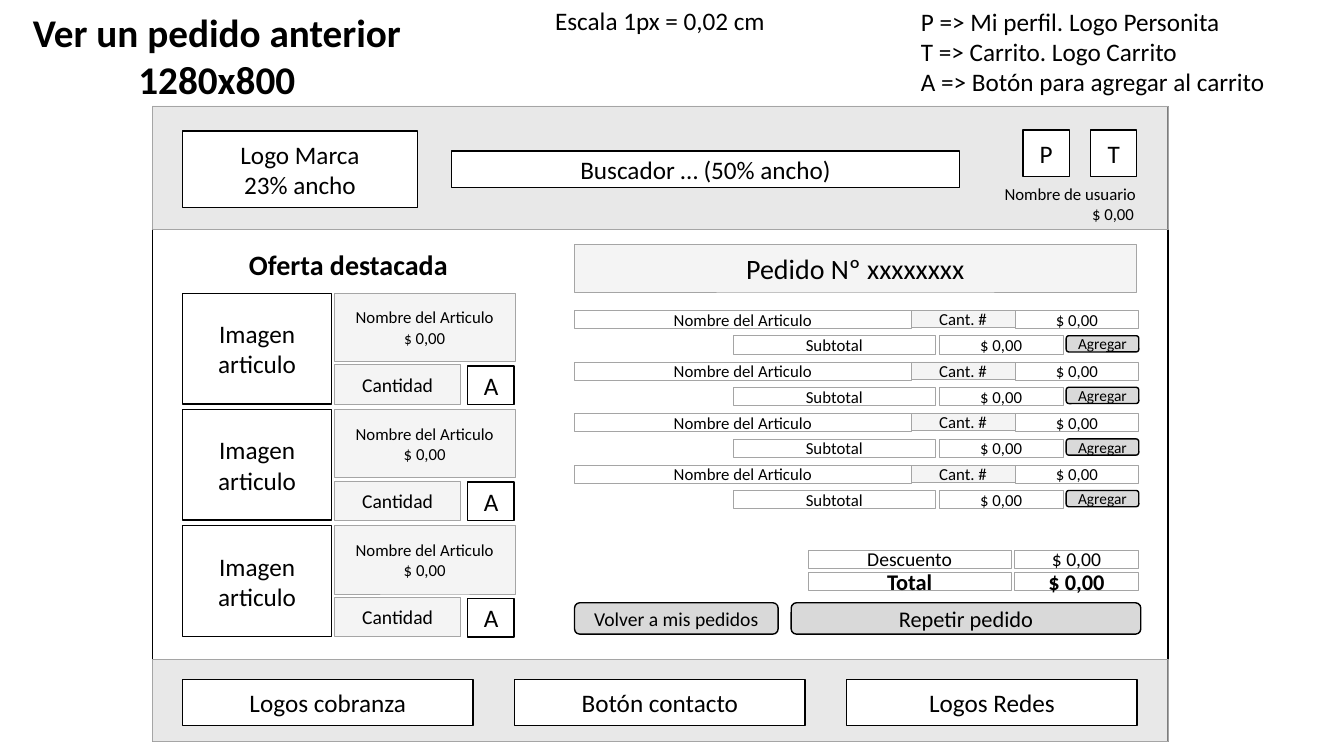
from lxml import etree
from pptx import Presentation
from pptx import util as u
from pptx.dml.color import RGBColor
from pptx.enum import shapes, text
from pptx.oxml.ns import qn

RECT = shapes.MSO_SHAPE.RECTANGLE
ROUNDED = shapes.MSO_SHAPE.ROUNDED_RECTANGLE
LEFT, CENTER, RIGHT = text.PP_ALIGN.LEFT, text.PP_ALIGN.CENTER, text.PP_ALIGN.RIGHT

# style: preset shape, fill, opacity in percent, line colour, line width
STYLES = {
    "block": (RECT, "FFFFFF", 100, "000000", 1),
    "cell": (RECT, "FFFFFF", 100, "A5A5A5", 0.5),
    "band": (RECT, "D9D9D9", 58, "A5A5A5", 0.5),
    "field": (RECT, "D9D9D9", 28, "A5A5A5", 0.5),
    "button": (ROUNDED, "D9D9D9", 100, "000000", 1),
}

presentation = Presentation()
presentation.slide_width, presentation.slide_height = u.Cm(33.87), u.Cm(19.05)
slide = presentation.slides.add_slide(presentation.slide_layouts[6])


def write(shape, words, size, bold=False, align=CENTER):
    shape.text_frame.text = words
    for paragraph in shape.text_frame.paragraphs:
        paragraph.alignment = align
        paragraph.font.name = "Calibri"
        paragraph.font.size = u.Pt(size)
        paragraph.font.bold = bold
        paragraph.font.color.rgb = RGBColor.from_string("000000")


def box(style, left, top, width, height, words="", size=18, bold=False):
    preset, fill, opacity, line, line_width = STYLES[style]
    shape = slide.shapes.add_shape(preset, u.Cm(left), u.Cm(top), u.Cm(width), u.Cm(height))
    shape.shadow.inherit = False
    shape.fill.solid()
    shape.fill.fore_color.rgb = RGBColor.from_string(fill)
    if opacity < 100:
        colour = shape.fill._xPr.find(qn("a:solidFill"))[0]
        etree.SubElement(colour, qn("a:alpha")).set("val", str(opacity * 1000))
    shape.line.color.rgb = RGBColor.from_string(line)
    shape.line.width = u.Pt(line_width)
    if words:
        write(shape, words, size, bold)
    return shape


# Page frame, header band and footer band
box("block", 3.84, 2.69, 25.6, 16)
box("band", 3.84, 2.67, 25.6, 3.1)
box("band", 3.84, 16.61, 25.6, 2.08)

# Free text: notes above the page, user data and offer heading
legend = ("P => Mi perfil. Logo Personita\nT => Carrito. Logo Carrito\n"
          "A => Botón para agregar al carrito")
for left, top, width, height, words, size, bold, align, wrap in (
    (0.51, 0.08, 9.91, 2.64, "Ver un pedido anterior\n1280x800", 28, True, CENTER, False),
    (13.74, 0, 5.87, 1.02, "Escala 1px = 0,02 cm", 18, False, LEFT, False),
    (22.96, 0.03, 9.42, 2.57, legend, 18, False, LEFT, False),
    (23.95, 4.5, 4.93, 0.76, "Nombre de usuario", 12, False, RIGHT, True),
    (23.9, 5, 4.93, 0.76, "$ 0,00", 12, False, RIGHT, True),
    (4.6, 6.1, 8.36, 1.12, "Oferta destacada", 20, True, CENTER, True),
):
    label = slide.shapes.add_textbox(u.Cm(left), u.Cm(top), u.Cm(width), u.Cm(height))
    label.text_frame.word_wrap = wrap
    label.text_frame.auto_size = text.MSO_AUTO_SIZE.SHAPE_TO_FIT_TEXT
    write(label, words, size, bold, align)

# Header
box("block", 4.6, 3.3, 5.92, 1.93, "Logo Marca\n23% ancho")
box("block", 11.38, 3.81, 12.8, 0.91, "Buscador … (50% ancho)")
box("block", 25.78, 3.28, 1.17, 1.17, "P")
box("block", 27.48, 3.28, 1.17, 1.17, "T")

# Footer
for column, words in enumerate(("Logos cobranza", "Botón contacto", "Logos Redes")):
    box("block", 4.6 + 8.37 * column, 17.12, 7.32, 1.17, words)

# Featured offers
for row in range(3):
    top = 7.39 + 2.93 * row
    box("block", 4.6, top, 3.76, 2.79, "Imagen articulo")
    card = box("field", 8.43, top, 4.55, 1.72, "Nombre del Articulo\n$ 0,00", 12)
    box("field", 8.43, top + 1.8, 3.18, 0.99, "Cantidad", 14)
    box("block", 11.79, top + 1.83, 1.17, 0.97, "A")
    if row == 0:  # smaller currency sign on the first card
        price = card.text_frame.paragraphs[1]
        price.runs[0].text = "$ "
        price.runs[0].font.size = u.Pt(11)
        price.add_run().text = "0,00"

# Order lines
box("field", 14.48, 6.17, 14.15, 1.19, "Pedido Nº xxxxxxxx", 20)
for row in range(4):
    top = 7.82 + 1.3 * row
    box("cell", 14.48, top, 8.48, 0.46, "Nombre del Articulo", 12)
    box("cell", 25.58, top, 3.12, 0.46, "$ 0,00", 12)
    box("field", 22.96, top, 2.62, 0.43, "Cant. #", 12)
    box("cell", 18.47, top + 0.64, 5.11, 0.46, "Subtotal", 12)
    box("cell", 23.67, top + 0.64, 3.12, 0.46, "$ 0,00", 12)
    box("button", 26.87, top + 0.64, 1.83, 0.41, "Agregar", 11)

# Totals
for top, words, size, bold in ((13.86, "Descuento", 14, False), (14.43, "Total", 16, True)):
    box("cell", 20.37, top, 5.11, 0.46, words, size, bold)
    box("cell", 25.57, top, 3.12, 0.46, "$ 0,00", size, bold)

# Actions
box("button", 14.48, 15.19, 5.13, 0.79, "Volver a mis pedidos", 14)
box("button", 19.94, 15.19, 8.81, 0.79, "Repetir pedido", 16)

presentation.save("out.pptx")
